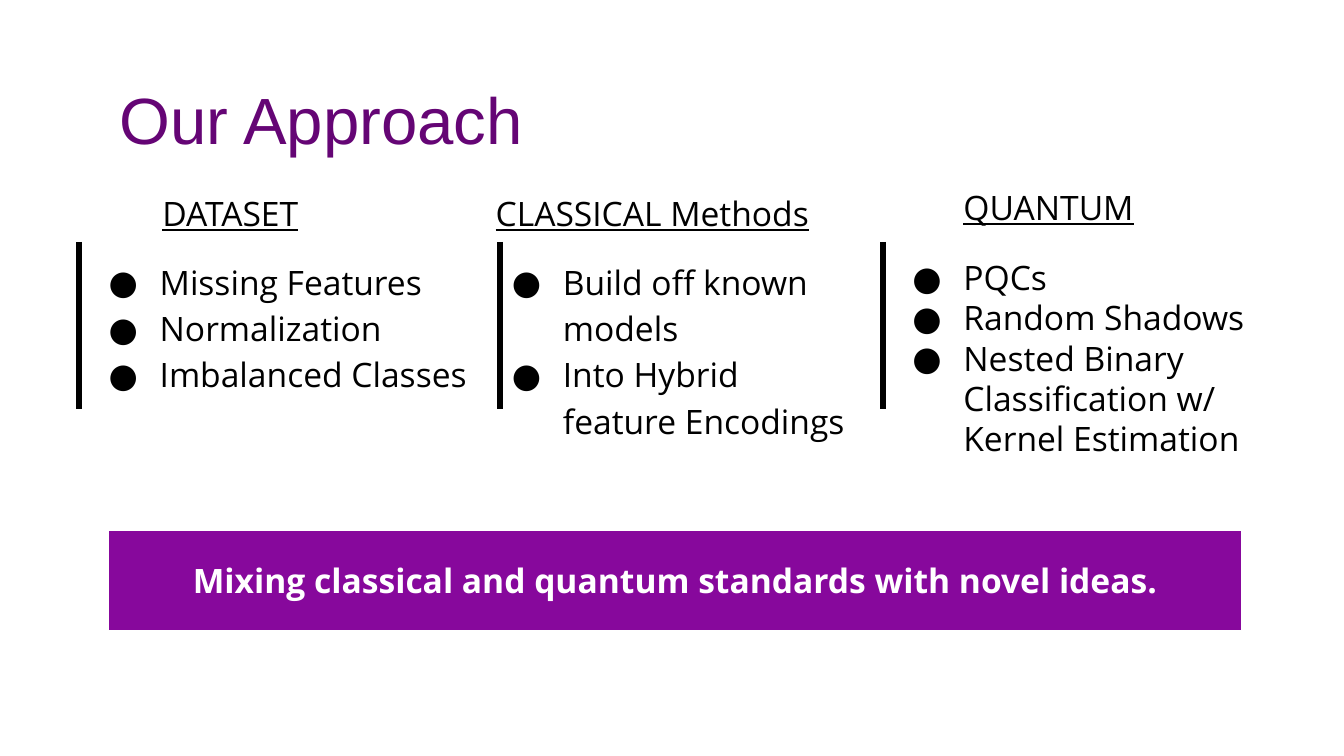
from lxml import etree
from pptx import Presentation
from pptx.dml.color import RGBColor
from pptx.enum.shapes import MSO_CONNECTOR, MSO_SHAPE
from pptx.enum.text import MSO_ANCHOR, MSO_AUTO_SIZE, PP_ALIGN
from pptx.oxml.ns import qn
from pptx.util import Inches, Pt

STRAIGHT, RECTANGLE = MSO_CONNECTOR.STRAIGHT, MSO_SHAPE.RECTANGLE
TOP, MIDDLE = MSO_ANCHOR.TOP, MSO_ANCHOR.MIDDLE
LEFT, CENTER = PP_ALIGN.LEFT, PP_ALIGN.CENTER

# Content
TITLE = "Our Approach"
MESSAGE = "Mixing classical and quantum standards with novel ideas."
COLUMNS = [
    {"heading": "DATASET", "indent": 0.52, "left": 0.59, "width": 3.0,
     "rule": 0.59, "spacing": 1.15, "gap": 12,
     "items": ["Missing Features", "Normalization", "Imbalanced Classes"]},
    {"heading": "CLASSICAL Methods", "indent": 0, "left": 3.59, "width": 2.86,
     "rule": 3.72, "spacing": 1.15, "gap": 12,
     "items": ["Build off known models", "Into Hybrid feature Encodings"]},
    {"heading": "QUANTUM", "indent": 0.5, "left": 6.57, "width": 3.04,
     "rule": 6.57, "spacing": 1.0, "gap": 16,
     "items": ["PQCs", "Random Shadows",
               "Nested Binary Classification w/ Kernel Estimation"]},
]

# Layout and style
WIDTH = 10
HEIGHT = WIDTH * 9 / 16
MARGIN = 0.1
COLUMN_TOP, COLUMN_HEIGHT = 1.29, 0.47
RULE_TOP, RULE_BOTTOM = 1.8, 3.04
BULLET_INDENT, BULLET_HANG = 0.5, 0.38
BODY_FONT, BODY_SIZE = "Open Sans", 18
BLACK, WHITE, PURPLE, DEEP_PURPLE = "000000", "FFFFFF", "87089C", "650575"


def color(value):
    return RGBColor.from_string(value)


def set_frame(text_frame, anchor=TOP):
    text_frame.word_wrap = True
    text_frame.auto_size = MSO_AUTO_SIZE.NONE
    text_frame.vertical_anchor = anchor
    text_frame.margin_left = text_frame.margin_right = Inches(MARGIN)
    text_frame.margin_top = text_frame.margin_bottom = Inches(MARGIN)


def format_runs(paragraph, value, name=BODY_FONT, size=BODY_SIZE, bold=False,
                underline=False):
    for run in paragraph.runs:
        font = run.font
        font.name, font.size = name, Pt(size)
        font.bold, font.underline = bold, underline
        font.color.rgb = color(value)


def set_indent(paragraph, left, first=0):
    properties = paragraph._p.get_or_add_pPr()
    properties.set("marL", str(Inches(left)))
    properties.set("indent", str(Inches(first)))
    return properties


def add_bullet(paragraph):
    properties = set_indent(paragraph, BULLET_INDENT, -BULLET_HANG)
    bullet_color = etree.SubElement(properties, qn("a:buClr"))
    etree.SubElement(bullet_color, qn("a:srgbClr"), val=BLACK)
    etree.SubElement(properties, qn("a:buFont"), typeface=BODY_FONT)
    etree.SubElement(properties, qn("a:buChar"), char="●")


def add_column(slide, column):
    box = slide.shapes.add_textbox(
        Inches(column["left"]), Inches(COLUMN_TOP),
        Inches(column["width"]), Inches(COLUMN_HEIGHT))
    text_frame = box.text_frame
    text_frame.text = "\n".join([column["heading"]] + column["items"])
    set_frame(text_frame)
    for index, paragraph in enumerate(text_frame.paragraphs):
        if index == 0:
            set_indent(paragraph, column["indent"])
        else:
            add_bullet(paragraph)
        paragraph.line_spacing = column["spacing"]
        paragraph.space_before = Pt(column["gap"] if index == 1 else 0)
        format_runs(paragraph, BLACK, underline=index == 0)


def add_rule(slide, left):
    rule = slide.shapes.add_connector(
        STRAIGHT, Inches(left), Inches(RULE_TOP), Inches(left), Inches(RULE_BOTTOM))
    rule.line.color.rgb = color(BLACK)
    rule.line.width = Pt(3)
    etree.SubElement(rule._element.spPr, qn("a:effectLst"))


def main():
    presentation = Presentation()
    presentation.slide_width = Inches(WIDTH)
    presentation.slide_height = Inches(HEIGHT)
    slide = presentation.slides.add_slide(presentation.slide_layouts[5])

    # Title
    title = slide.shapes.title
    title.left, title.top = Inches(0.79), Inches(0.49)
    title.width, title.height = Inches(8.43), Inches(0.63)
    title.text_frame.text = TITLE
    set_frame(title.text_frame)
    paragraph = title.text_frame.paragraphs[0]
    paragraph.alignment = LEFT
    format_runs(paragraph, DEEP_PURPLE, "Arial", 35)

    # Three columns, each with a rule on its left
    for column in COLUMNS:
        add_column(slide, column)
        add_rule(slide, column["rule"])

    # Message bar
    bar = slide.shapes.add_shape(
        RECTANGLE, Inches(0.81), Inches(3.95), Inches(8.43), Inches(0.74))
    bar.shadow.inherit = False
    bar.fill.solid()
    bar.fill.fore_color.rgb = color(PURPLE)
    bar.line.color.rgb = color(WHITE)
    bar.line.width = Pt(0.75)
    bar.text_frame.text = MESSAGE
    set_frame(bar.text_frame, MIDDLE)
    paragraph = bar.text_frame.paragraphs[0]
    paragraph.alignment = CENTER
    format_runs(paragraph, WHITE, bold=True)

    presentation.save("out.pptx")


if __name__ == "__main__":
    main()
